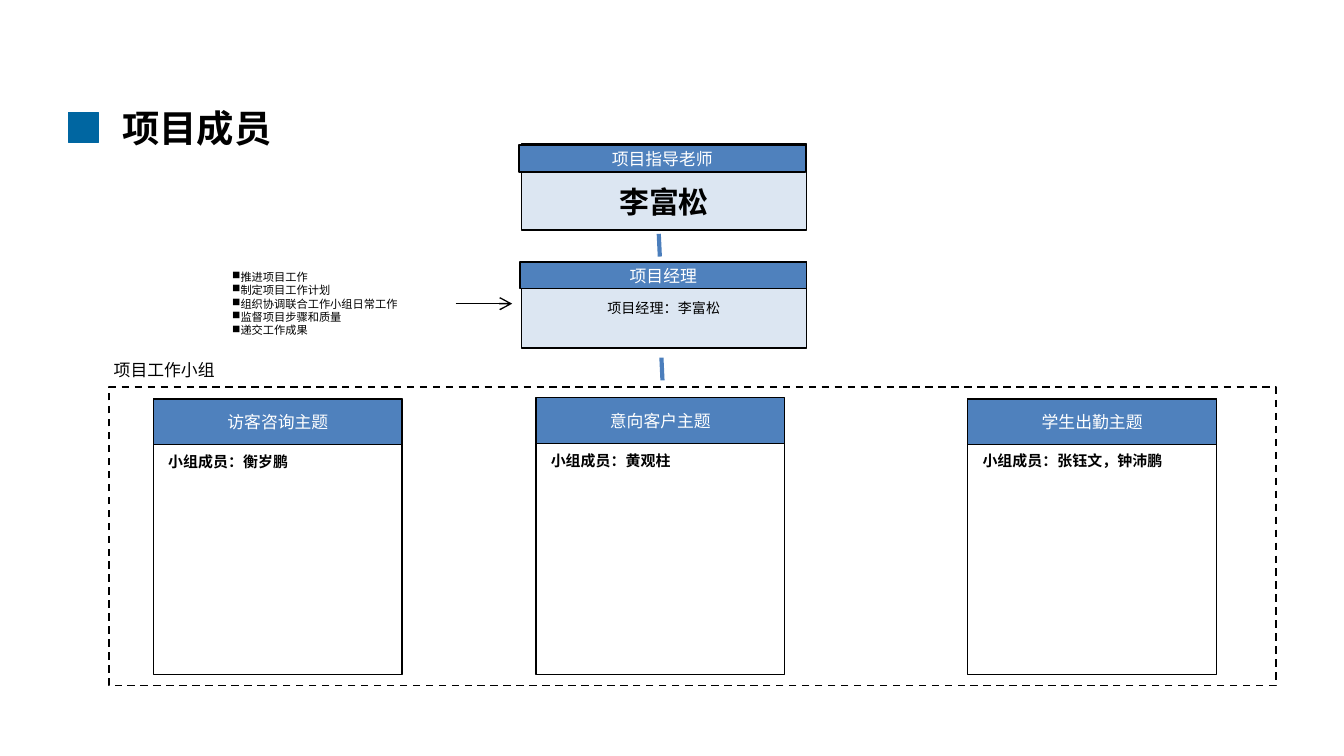
import pptx
import pptx.dml.color
import pptx.enum.dml
import pptx.enum.shapes
import pptx.enum.text
import pptx.oxml.ns
import pptx.util
from lxml import etree

Cm = pptx.util.Cm
Pt = pptx.util.Pt
ANCHOR = pptx.enum.text.MSO_ANCHOR
ALIGN = pptx.enum.text.PP_ALIGN

FONT = "Noto Sans CJK SC"
BLACK, WHITE = "000000", "FFFFFF"
HEADER_BLUE, BODY_BLUE = "4F81BD", "DCE6F2"
LINK_BLUE, TITLE_BLUE = "4B7EBC", "0066A1"

DUTIES = ["推进项目工作", "制定项目工作计划", "组织协调联合工作小组日常工作",
          "监督项目步骤和质量", "递交工作成果"]

# Theme, members, left, header top, members top, members height
TEAMS = [
    ("访客咨询主题", "小组成员：衡岁鹏", 2.9, 7.54, 8.43, 1.37),
    ("意向客户主题", "小组成员：黄观柱", 10.13, 7.52, 8.41, 0.91),
    ("学生出勤主题", "小组成员：张钰文，钟沛鹏", 18.29, 7.54, 8.41, 0.91),
]


def color(hex_value):
    return pptx.dml.color.RGBColor.from_string(hex_value)


def add_xml(parent, tag, **attributes):
    return etree.SubElement(parent, pptx.oxml.ns.qn(tag), **attributes)


def style_paragraph(paragraph, size, text_color, bold=False, align=ALIGN.LEFT):
    paragraph.alignment = align
    font = paragraph.font
    font.name, font.size, font.bold = FONT, Pt(size), bold
    font.color.rgb = color(text_color)
    properties = paragraph._p.pPr.find(pptx.oxml.ns.qn("a:defRPr"))
    add_xml(properties, "a:ea", typeface=FONT)


def add_box(slide, left, top, width, height, fill=None, line=BLACK, weight=0.75):
    box = slide.shapes.add_shape(pptx.enum.shapes.MSO_SHAPE.RECTANGLE,
                                 Cm(left), Cm(top), Cm(width), Cm(height))
    box.shadow.inherit = False
    if fill:
        box.fill.solid()
        box.fill.fore_color.rgb = color(fill)
    else:
        box.fill.background()
    box.line.color.rgb = color(line)
    box.line.width = Pt(weight)
    return box


def add_header(slide, text, left, top, width, height):
    header = add_box(slide, left, top, width, height, HEADER_BLUE)
    frame = header.text_frame
    frame.vertical_anchor = ANCHOR.MIDDLE
    frame.word_wrap = False
    frame.text = text
    style_paragraph(frame.paragraphs[0], 9, WHITE, align=ALIGN.CENTER)


def add_text(slide, text, left, top, width, height, size,
             bold=False, align=ALIGN.LEFT, anchor=ANCHOR.MIDDLE):
    label = slide.shapes.add_textbox(Cm(left), Cm(top), Cm(width), Cm(height))
    frame = label.text_frame
    frame.word_wrap = True
    frame.vertical_anchor = anchor
    frame.text = text
    style_paragraph(frame.paragraphs[0], size, BLACK, bold, align)


def add_duties(slide, left, top, width, height):
    duties = slide.shapes.add_textbox(Cm(left), Cm(top), Cm(width), Cm(height))
    frame = duties.text_frame
    frame.word_wrap = False
    frame.text = "\n".join(DUTIES)
    for paragraph in frame.paragraphs:
        paragraph.line_spacing = Pt(7.2)
        add_xml(paragraph._p.get_or_add_pPr(), "a:buChar", char="■")
        style_paragraph(paragraph, 6, BLACK)


def add_line(slide, start, end, line_color, weight, arrow=False):
    line = slide.shapes.add_connector(
        pptx.enum.shapes.MSO_CONNECTOR.STRAIGHT,
        Cm(start[0]), Cm(start[1]), Cm(end[0]), Cm(end[1]))
    line.line.color.rgb = color(line_color)
    line.line.width = Pt(weight)
    if arrow:
        add_xml(line.line._get_or_add_ln(), "a:tailEnd", type="arrow")
    add_xml(line._element.spPr, "a:effectLst")


def add_title(slide):
    side = 0.28
    for row in range(2):
        for column in range(2):
            add_box(slide, 1.3 + column * side, 2.13 + row * side, side, side,
                    TITLE_BLUE, TITLE_BLUE, 0.5)
    add_text(slide, "项目成员", 2.06, 1.85, 16.61, 1.12, 20, bold=True)


def add_team(slide, theme, members, left, header_top, members_top, members_height):
    width = 4.7
    add_box(slide, left, 7.54, width, 5.21)
    add_header(slide, theme, left, header_top, width, 0.86)
    add_text(slide, members, left + 0.03, members_top, width, members_height,
             8, bold=True, anchor=ANCHOR.TOP)


def main():
    presentation = pptx.Presentation()
    presentation.slide_width, presentation.slide_height = Cm(25.4), Cm(14.29)
    slide = presentation.slides.add_slide(presentation.slide_layouts[6])

    add_title(slide)

    # Advisor
    add_box(slide, 9.86, 2.72, 5.38, 1.63, BODY_BLUE)
    add_header(slide, "项目指导老师", 9.81, 2.74, 5.41, 0.51)
    add_text(slide, "李富松", 9.86, 3.35, 5.38, 0.94, 16, True, ALIGN.CENTER)
    add_line(slide, (12.45, 4.42), (12.47, 4.85), LINK_BLUE, 2.25)

    # Manager and duties
    add_box(slide, 9.86, 4.95, 5.38, 1.63, BODY_BLUE)
    add_header(slide, "项目经理", 9.83, 4.95, 5.41, 0.51)
    add_text(slide, "项目经理：李富松", 9.88, 5.54, 5.33, 0.58, 7.5,
             align=ALIGN.CENTER)
    add_duties(slide, 4.14, 4.98, 3.66, 1.55)
    add_line(slide, (8.61, 5.74), (9.68, 5.74), BLACK, 0.75, arrow=True)
    add_line(slide, (12.5, 6.76), (12.52, 7.19), LINK_BLUE, 2.25)

    # Working teams
    add_text(slide, "项目工作小组", 1.9, 6.68, 3.3, 0.64, 9)
    teams_frame = add_box(slide, 2.06, 7.32, 22.05, 5.64, weight=1)
    teams_frame.line.dash_style = pptx.enum.dml.MSO_LINE.DASH
    for team in TEAMS:
        add_team(slide, *team)

    presentation.save("out.pptx")


if __name__ == "__main__":
    main()
